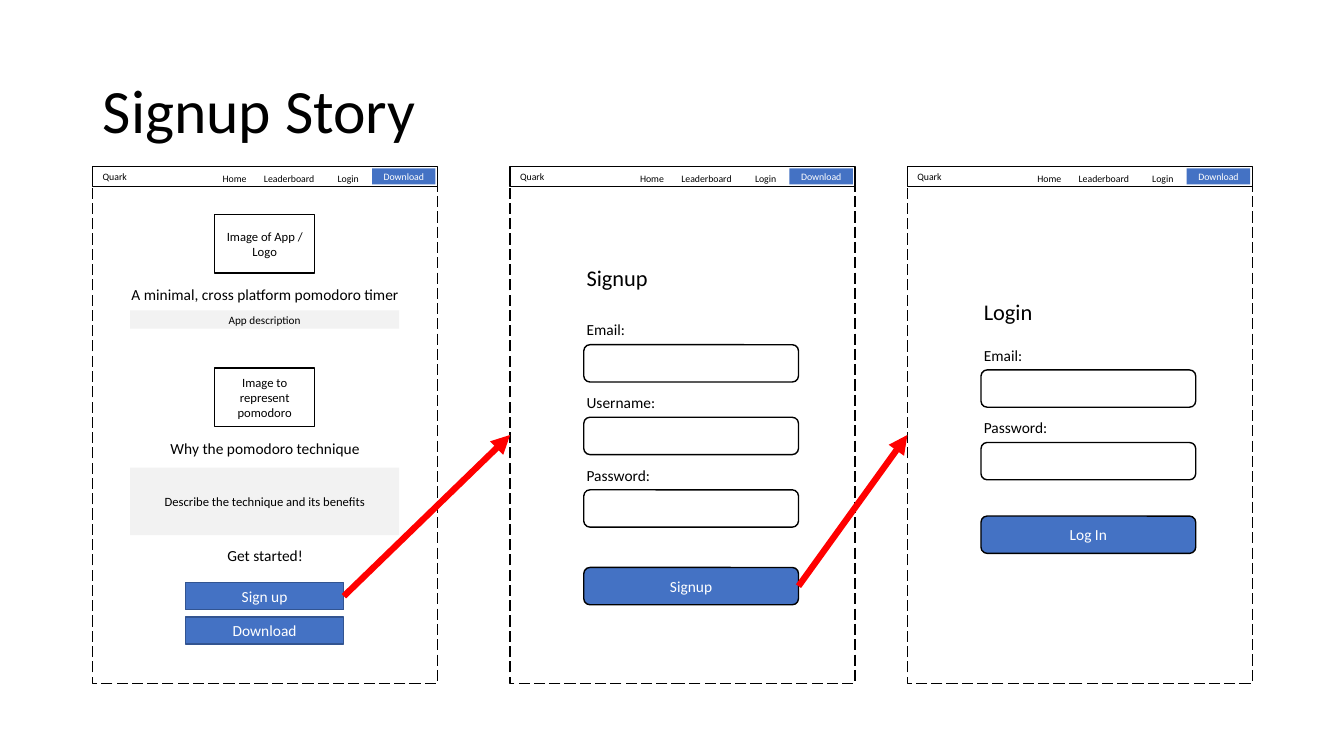
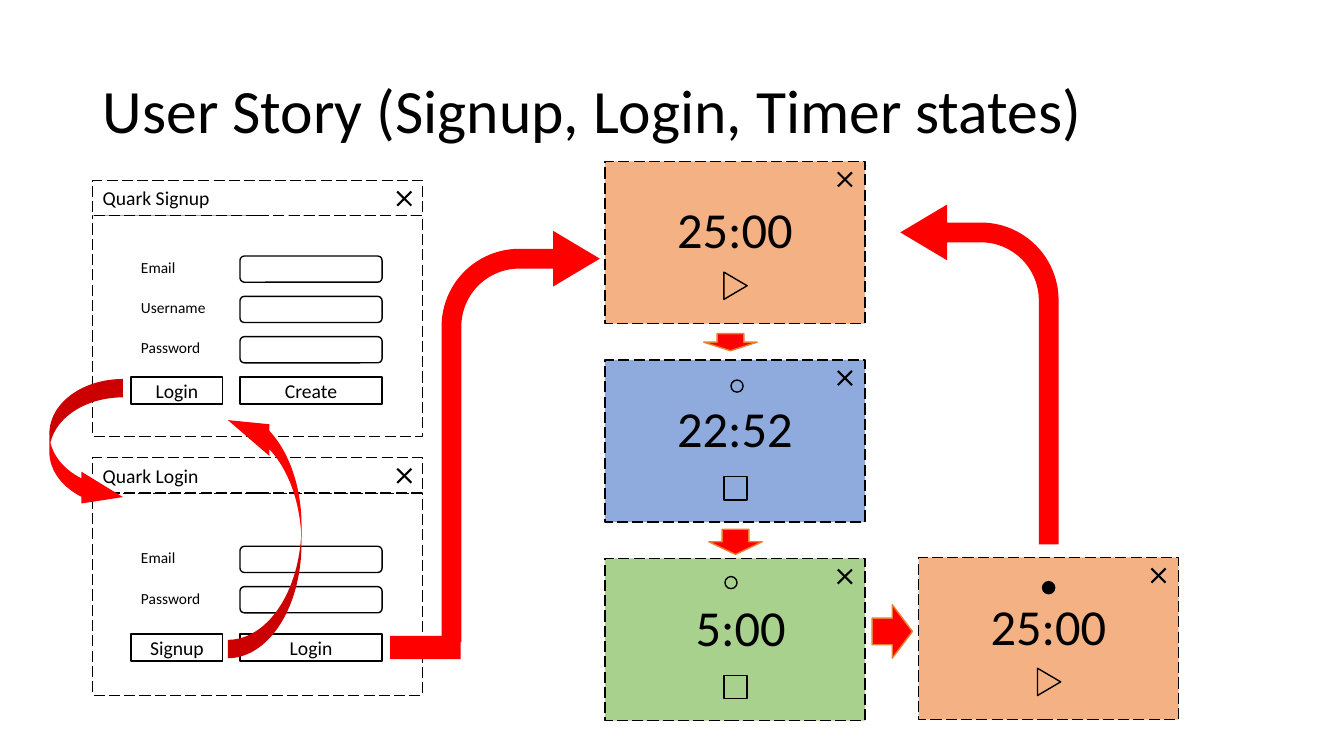
from pptx import Presentation
from pptx.dml.color import RGBColor
from pptx.enum import dml, shapes, text
from pptx.oxml.ns import qn
from pptx.util import Inches, Pt
from lxml import etree

BLACK, WHITE, GREY = "000000", "FFFFFF", "F2F2F2"
BLUE, BLUE_EDGE, RED, ORANGE_EDGE = "4472C4", "325491", "FF0000", "ED7D31"
PEACH, SKY, GREEN = "F4B183", "8FAADC", "A9D18E"
FONT = "Calibri"
MSO = shapes.MSO_SHAPE
LEFT, CENTER = text.PP_ALIGN.LEFT, text.PP_ALIGN.CENTER
color = RGBColor.from_string


def add_box(s, kind, x, y, w, h, fill=WHITE, line=BLACK, words="", size=11,
            ink=BLACK, align=CENTER, dash=False, adj=(), turn=0):
    frame = Inches(x), Inches(y), Inches(w), Inches(h)
    if kind is None:
        sp = s.shapes.add_textbox(*frame)
    else:
        sp = s.shapes.add_shape(kind, *frame)
        sp.shadow.inherit = False
        sp.rotation = turn
        for i, value in enumerate(adj):
            sp.adjustments[i] = value
        if fill:
            sp.fill.solid()
            sp.fill.fore_color.rgb = color(fill)
        else:
            sp.fill.background()
        if line:
            sp.line.color.rgb = color(line)
            sp.line.width = Pt(1)
            if dash:
                sp.line.dash_style = dml.MSO_LINE.LONG_DASH
        else:
            sp.line.fill.background()
    if words:
        tf = sp.text_frame
        tf.word_wrap = True
        if kind is not None:
            tf.vertical_anchor = text.MSO_ANCHOR.MIDDLE
            tf.margin_top = tf.margin_bottom = 0
        tf.text = words
        p = tf.paragraphs[0]
        p.alignment = align
        for r in p.runs:
            r.font.name = FONT
            r.font.size = Pt(size)
            r.font.color.rgb = color(ink)
    return sp


def add_line(s, x1, y1, x2, y2, ink=BLACK, width=1.5):
    cn = s.shapes.add_connector(shapes.MSO_CONNECTOR.STRAIGHT, Inches(x1), Inches(y1),
                                Inches(x2), Inches(y2))
    cn.line.color.rgb = color(ink)
    cn.line.width = Pt(width)
    etree.SubElement(cn._element.spPr, qn("a:effectLst"))
    return cn


prs = Presentation()
prs.slide_width, prs.slide_height = Inches(13.33), Inches(7.5)

slides = []
for title in ("Signup Story", "User Story (Signup, Login, Timer states)"):
    s = prs.slides.add_slide(prs.slide_layouts[5])
    sp = s.shapes.title
    sp.left, sp.top, sp.width, sp.height = Inches(0.92), Inches(0.4), Inches(11.5), Inches(1.45)
    tf = sp.text_frame
    tf.text = title
    tf.vertical_anchor = text.MSO_ANCHOR.MIDDLE
    p = tf.paragraphs[0]
    p.alignment = LEFT
    p.line_spacing = 0.9
    r = p.runs[0]
    r.font.name, r.font.size = FONT, Pt(44)
    r.font.color.rgb = color(BLACK)
    slides.append(s)

s = slides[0]
screens = []
for x in (0.92, 5.06, 9):
    screens.append(add_box(s, MSO.RECTANGLE, x, 1.85, 3.42, 4.93, dash=True))
    add_box(s, MSO.RECTANGLE, x, 1.65, 3.42, 0.2, words="Quark", size=7, align=LEFT)
    for dx, w, words in ((1.19, 0.5, "Home"), (1.6, 0.8, "Leaderboard"), (2.33, 0.5, "Login")):
        add_box(s, None, x + dx, 1.66, w, 0.22, words=words, size=7, align=LEFT)
    add_box(s, MSO.RECTANGLE, x + 2.77, 1.67, 0.63, 0.16, BLUE, None, "Download", 7, WHITE)

for y, words in ((2.13, "Image of App /\vLogo"), (3.65, "Image to represent pomodoro")):
    add_box(s, MSO.RECTANGLE, 2.13, y, 0.99, 0.58, words=words, size=9)
for y, words in ((2.78, "A minimal, cross platform pomodoro timer"),
                 (4.31, "Why the pomodoro technique"), (5.37, "Get started!")):
    add_box(s, None, 0.92, y, 3.42, 0.29, words=words)
for y, h, size, words in ((3.08, 0.18, 8, "App description"),
                          (4.64, 0.67, 9, "Describe the technique and its benefits")):
    add_box(s, MSO.RECTANGLE, 1.29, y, 2.67, h, GREY, None, words, size)
buttons = [add_box(s, MSO.RECTANGLE, 1.84, y, 1.57, 0.27, BLUE, BLUE_EDGE, words, 11, WHITE)
           for y, words in ((5.78, "Sign up"), (6.12, "Download"))]

forms = (
    (5.06, 2.57, "Signup", 3.13, ("Email:", "Username:", "Password:"), 5.63, "Signup"),
    (9, 2.91, "Login", 3.38, ("Email:", "Password:"), 5.12, "Log In"),
)
submits = []
for x, heading_y, heading, first_y, labels, button_y, action in forms:
    add_box(s, None, x + 0.66, heading_y, 2.13, 0.37, words=heading, size=16, align=LEFT)
    for i, label in enumerate(labels):
        y = first_y + 0.72 * i
        add_box(s, None, x + 0.66, y, 2.13, 0.29, words=label, align=LEFT)
        add_box(s, MSO.ROUNDED_RECTANGLE, x + 0.73, y + 0.29, 2.13, 0.37)
    submits.append(add_box(s, MSO.ROUNDED_RECTANGLE, x + 0.73, button_y, 2.13, 0.37,
                           BLUE, BLACK, action, 11, WHITE))

for start, end in ((buttons[0], screens[1]), (submits[0], screens[2])):
    cn = add_line(s, 0, 0, 1, 1, RED, 4.5)
    cn.begin_connect(start, 3)
    cn.end_connect(end, 1)
    etree.SubElement(cn.line._get_or_add_ln(), qn("a:tailEnd"), type="triangle")

s = slides[1]
crosses = []
timers = (
    (6, 1.6, PEACH, "25:00", "play", None, None),
    (6, 3.57, SKY, "22:52", "stop", (1.25, 0.2), None),
    (6, 5.54, GREEN, " 5:00", "stop", (1.19, 0.18), None),
    (9.11, 5.53, PEACH, "25:00", "play", (1.23, 0.24), BLACK),
)
for x, y, fill, time, symbol, dot, dot_fill in timers:
    add_box(s, MSO.RECTANGLE, x, y, 2.58, 1.61, fill, dash=True)
    add_box(s, None, x, y + 0.32, 2.58, 0.71, words=time, size=36)
    if symbol == "play":
        add_box(s, MSO.ISOSCELES_TRIANGLE, x + 1.16, y + 1.12, 0.27, 0.23, fill, turn=90)
    else:
        add_box(s, MSO.RECTANGLE, x + 1.18, y + 1.16, 0.23, 0.23, fill)
    if dot:
        add_box(s, MSO.OVAL, x + dot[0], y + dot[1], 0.12, 0.12, dot_fill)
    crosses.append((x + 2.31, y + 0.11))

dialogs = (
    (4.54, 2.01, "Quark Login", 0.88, ("Email", "Password"), 1.75, "Signup", "Login"),
    (1.79, 2.19, "Quark Signup", 0.75, ("Email", "Username", "Password"), 1.95, "Login", "Create"),
)
for top, body, heading, first, labels, button, other, action in dialogs:
    add_box(s, MSO.RECTANGLE, 0.92, top + 0.35, 3.27, body, dash=True)
    add_box(s, MSO.RECTANGLE, 0.92, top, 3.27, 0.35, words=heading, size=14, align=LEFT, dash=True)
    for i, label in enumerate(labels):
        y = top + first + 0.4 * i
        add_box(s, None, 1.3, y - 0.03, 0.91, 0.29, words=label, align=LEFT)
        add_box(s, MSO.ROUNDED_RECTANGLE, 2.38, y, 1.41, 0.26)
    add_box(s, MSO.RECTANGLE, 1.3, top + button, 0.91, 0.27, words=other, size=14)
    add_box(s, MSO.RECTANGLE, 2.38, top + button, 1.41, 0.27, words=action, size=14)
    crosses.append((3.94, top + 0.11))

for x, y in crosses:
    add_line(s, x, y, x + 0.14, y + 0.14)
    add_line(s, x, y + 0.14, x + 0.14, y)

for x, y, h, turn in ((0.49, 3.76, 1.33, 0), (2.26, 4.01, 2.52, 180)):
    add_box(s, MSO.CURVED_RIGHT_ARROW, x, y, 0.73, h, RED, None, adj=(0.25, 0.432, 0.565), turn=turn)

bends = [add_box(s, MSO.BENT_ARROW, x, y, 1.57, h, RED, None, adj=(0.125, 0.176, 0.295, 0.491))
         for x, y, h in ((4.38, 2.29, 4.08), (8.93, 2.03, 3.37))]
bends[1]._element.spPr.xfrm.set("flipH", "1")
add_box(s, MSO.RECTANGLE, 3.87, 6.31, 0.7, 0.23, RED, None)

for x, y, w, turn in ((7.16, 3.13, 0.17, 90), (7.17, 5.11, 0.25, 90), (8.65, 6, 0.4, 0)):
    add_box(s, MSO.RIGHT_ARROW, x, y, w, 0.53, RED, ORANGE_EDGE, turn=turn)

prs.save("out.pptx")
